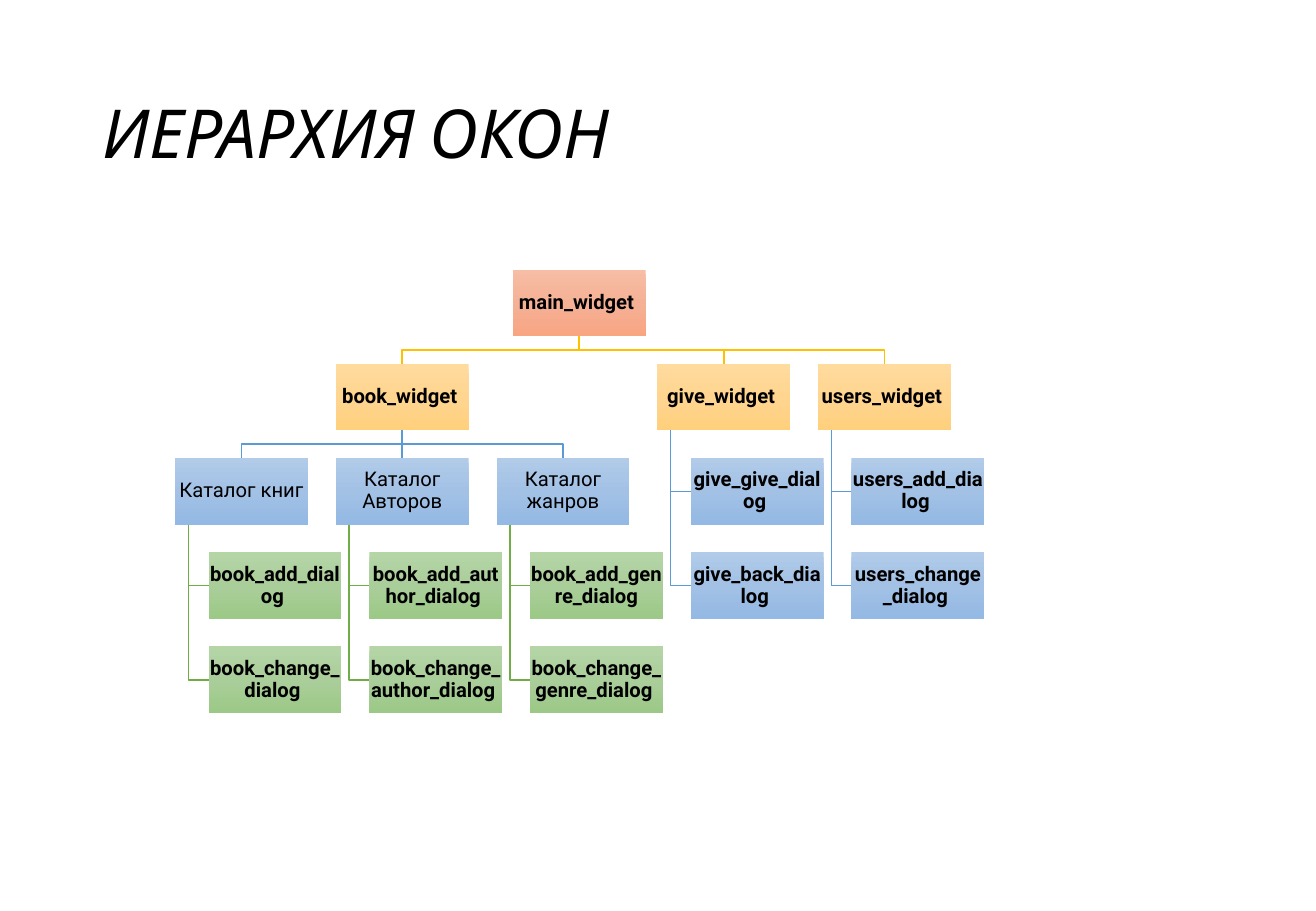
from copy import deepcopy

from pptx import Presentation
from pptx.dml.color import RGBColor
from pptx.enum.shapes import MSO_CONNECTOR, MSO_SHAPE
from pptx.enum.text import MSO_ANCHOR, MSO_AUTO_SIZE, PP_ALIGN
from pptx.oxml.ns import qn
from pptx.oxml.xmlchemy import OxmlElement
from pptx.util import Cm, Pt

RECTANGLE = MSO_SHAPE.RECTANGLE
STRAIGHT = MSO_CONNECTOR.STRAIGHT
MIDDLE = MSO_ANCHOR.MIDDLE
LEFT, CENTER = PP_ALIGN.LEFT, PP_ALIGN.CENTER
NO_FIT = MSO_AUTO_SIZE.NONE
BOTTOM_SIDE, TOP_SIDE = 2, 0

COLORS = {
    "text": "000000",
    "fills": [
        ("F7BDA5", "F5B196", "F8A582"),
        ("FFDB9E", "FFD590", "FFD07C"),
        ("B1CBE9", "A3C1E5", "93B9E4"),
        ("B5D5A7", "AACE9A", "9CC987"),
    ],
    "links": [None, "FFC000", "5B9BD5", "70AD47"],
}

BOX_WIDTH, BOX_HEIGHT = Cm(2.78), Cm(1.39)
COLUMN_STEP, ROW_STEP = Cm(3.36), Cm(1.97)
HANGING_INDENT, STEM_INDENT = Cm(0.7), Cm(0.28)

# (label, column, children); windows without children hang below their parent
WINDOWS = ("main_widget ", 2.1, [
    ("book_widget ", 1, [
        ("Каталог книг", 0, [
            ("book_add_dialog ", 0, []),
            ("book_change_dialog ", 0, []),
        ]),
        ("Каталог Авторов", 1, [
            ("book_add_author_dialog ", 1, []),
            ("book_change_author_dialog ", 1, []),
        ]),
        ("Каталог жанров", 2, [
            ("book_add_genre_dialog", 2, []),
            ("book_change_genre_dialog ", 2, []),
        ]),
    ]),
    ("give_widget ", 3, [
        ("give_give_dialog ", 3, []),
        ("give_back_dialog ", 3, []),
    ]),
    ("users_widget ", 4, [
        ("users_add_dialog ", 4, []),
        ("users_change_dialog ", 4, []),
    ]),
])


def rgb(color):
    return RGBColor.from_string(color)


def add_title(slide, left, top, width, height):
    title = slide.shapes.title
    title.left, title.top, title.width, title.height = left, top, width, height
    frame = title.text_frame
    frame.text = "ИЕРАРХИЯ ОКОН"
    frame.auto_size = NO_FIT
    frame.vertical_anchor = MIDDLE
    heading = frame.paragraphs[0]
    heading.alignment = LEFT
    heading.line_spacing = 0.9
    heading.font.name = "Karla"
    heading.font.size = Pt(40)
    heading.font.italic = True
    heading.font.color.rgb = rgb(COLORS["text"])


def fill_gradient(box, colors):
    box.fill.gradient()
    box.fill.gradient_angle = 270
    stop_list = box.fill._xPr.find(".//" + qn("a:gsLst"))
    stop_list.insert(1, deepcopy(stop_list[0]))
    for stop, position, color in zip(box.fill.gradient_stops, (0, 0.5, 1), colors):
        stop.position = position
        stop.color.rgb = rgb(color)


def add_window(slide, left, top, label, level):
    box = slide.shapes.add_shape(RECTANGLE, left, top, BOX_WIDTH, BOX_HEIGHT)
    box.shadow.inherit = False
    box.line.fill.background()
    fill_gradient(box, COLORS["fills"][level])
    frame = box.text_frame
    frame.text = label
    frame.word_wrap = True
    frame.vertical_anchor = MIDDLE
    frame.margin_left = frame.margin_right = Cm(0.02)
    frame.margin_top = frame.margin_bottom = Cm(0.02)
    name = frame.paragraphs[0]
    name.alignment = CENTER
    name.line_spacing = 0.9
    name.font.name = "Roboto"
    name.font.size = Pt(12)
    name.font.bold = "_" in label
    name.font.color.rgb = rgb(COLORS["text"])
    return box


def add_bent_link(slide, points):
    builder = slide.shapes.build_freeform(*points[0], scale=1.0)
    builder.add_line_segments(points[1:], close=False)
    link = builder.convert_to_shape()
    link.fill.background()
    link.shadow.inherit = False
    return link


def add_straight_link(slide, parent, child):
    link = slide.shapes.add_connector(STRAIGHT, 0, 0, 0, 0)
    link.begin_connect(parent, BOTTOM_SIDE)
    link.end_connect(child, TOP_SIDE)
    link._element.spPr.append(OxmlElement("a:effectLst"))
    return link


def link_windows(slide, parent, child, hanging, level):
    start_y = parent.top + parent.height
    start_x = parent.left + parent.width // 2
    end_x = child.left + child.width // 2
    if hanging:
        stem_x = parent.left + STEM_INDENT
        child_y = child.top + child.height // 2
        link = add_bent_link(
            slide, [(stem_x, start_y), (stem_x, child_y), (child.left, child_y)])
    elif start_x == end_x:
        link = add_straight_link(slide, parent, child)
    else:
        turn_y = (start_y + child.top) // 2
        link = add_bent_link(
            slide,
            [(start_x, start_y), (start_x, turn_y), (end_x, turn_y), (end_x, child.top)])
    link.line.color.rgb = rgb(COLORS["links"][level])
    link.line.width = Pt(1)


def add_hierarchy(slide, left, top, window, level=0, row=0, parent=None):
    label, column, children = window
    hanging = not children
    box_left = left + round(column * COLUMN_STEP) + hanging * HANGING_INDENT
    box = add_window(slide, box_left, top + row * ROW_STEP, label, level)
    if parent is not None:
        link_windows(slide, parent, box, hanging, level)
    for index, child in enumerate(children):
        child_row = row + 1 + (0 if child[2] else index)
        add_hierarchy(slide, left, top, child, level + 1, child_row, box)


def main():
    deck = Presentation()
    deck.slide_width, deck.slide_height = Cm(27.51), Cm(19.05)
    slide = deck.slides.add_slide(deck.slide_layouts[5])
    add_title(slide, Cm(1.88), Cm(1.02), Cm(23.72), Cm(3.68))
    add_hierarchy(slide, Cm(3.66), Cm(5.64), WINDOWS)
    deck.save("out.pptx")


if __name__ == "__main__":
    main()
